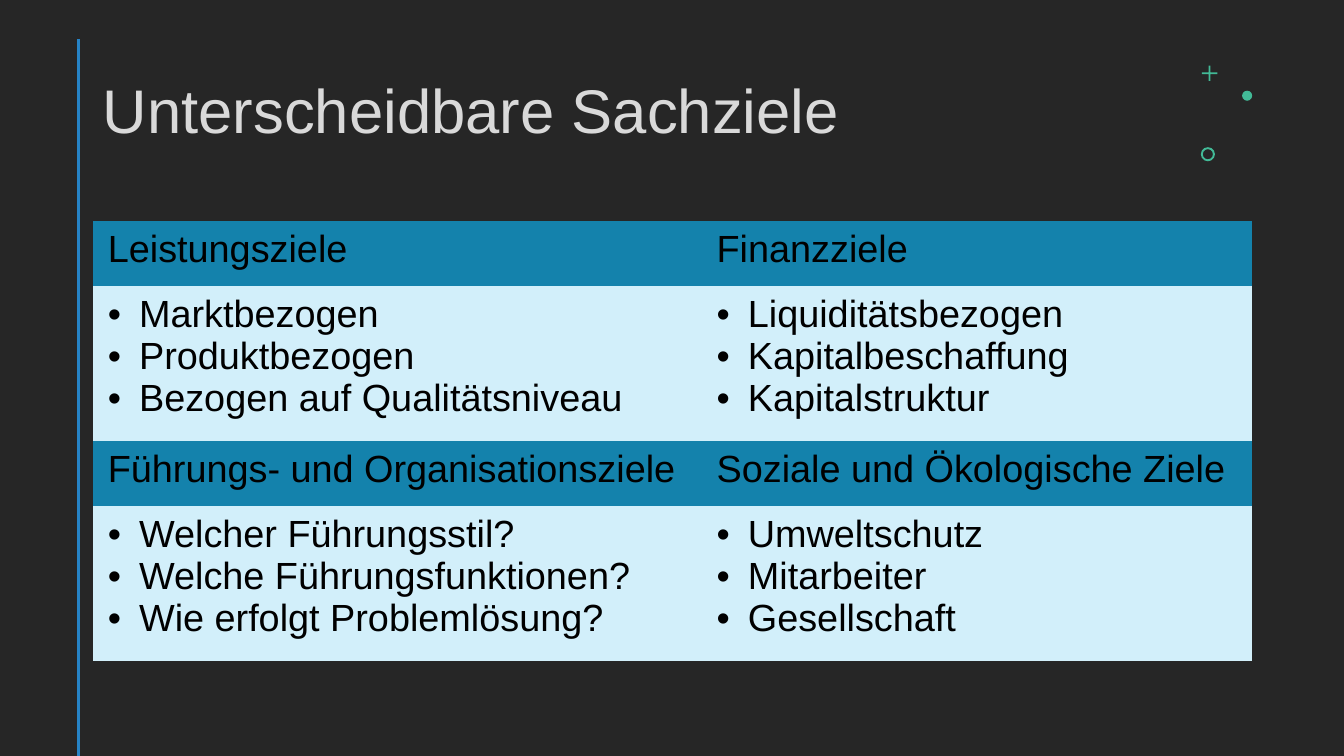
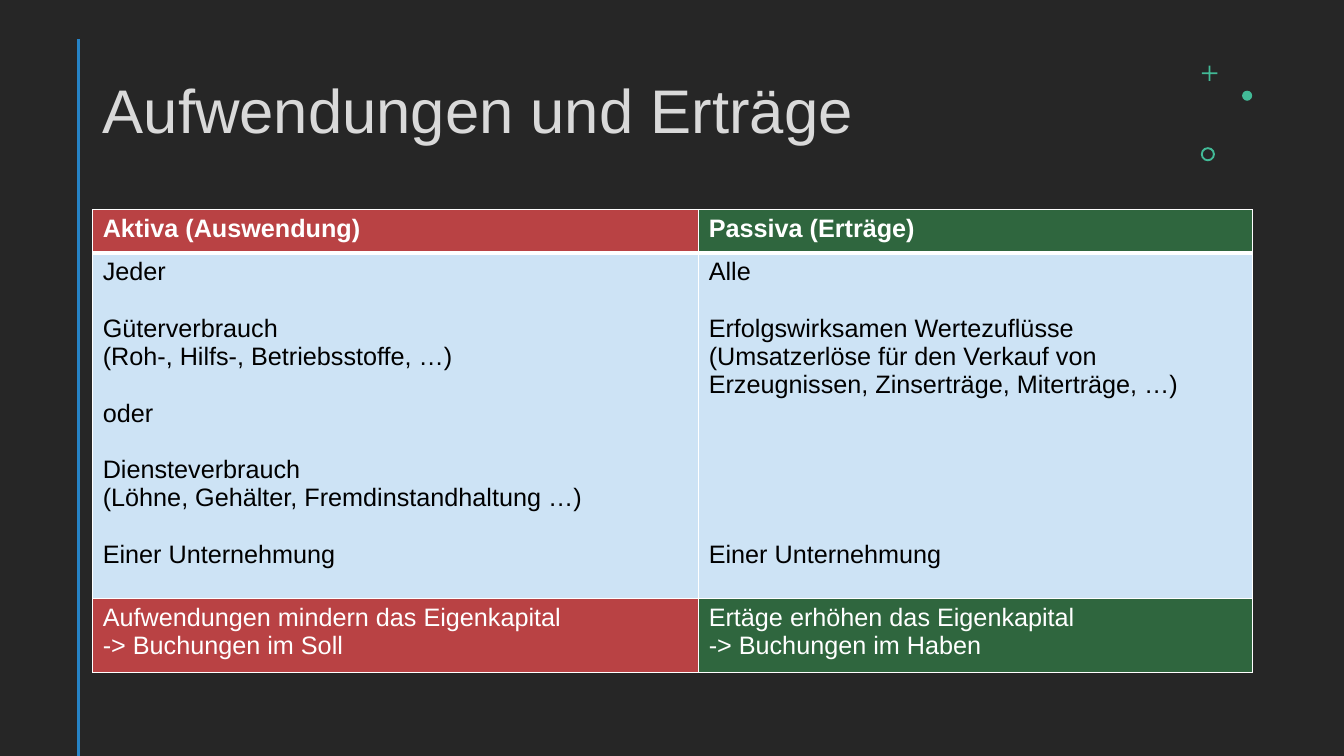
from dataclasses import dataclass

from lxml.etree import SubElement
from pptx import Presentation
from pptx.dml.color import RGBColor
from pptx.enum.shapes import MSO_CONNECTOR, MSO_SHAPE
from pptx.enum.text import MSO_ANCHOR, MSO_AUTO_SIZE, PP_ALIGN
from pptx.oxml import parse_xml
from pptx.oxml.ns import nsdecls, qn
from pptx.util import Inches, Pt


@dataclass(frozen=True)
class Theme:
    font: str = "Arial"
    background: RGBColor = RGBColor(0x26, 0x26, 0x26)
    heading: RGBColor = RGBColor(0xD9, 0xD9, 0xD9)
    rule: RGBColor = RGBColor(0x26, 0x83, 0xC6)
    ornament: RGBColor = RGBColor(0x42, 0xBA, 0x97)
    black: RGBColor = RGBColor(0x00, 0x00, 0x00)
    white: RGBColor = RGBColor(0xFF, 0xFF, 0xFF)
    goal_head: RGBColor = RGBColor(0x14, 0x82, 0xAC)
    goal_body: RGBColor = RGBColor(0xD2, 0xEF, 0xFA)
    expense: RGBColor = RGBColor(0xB9, 0x42, 0x44)
    income: RGBColor = RGBColor(0x2F, 0x66, 0x3E)
    account_body: RGBColor = RGBColor(0xCD, 0xE3, 0xF5)
    heading_size: int = 44
    goal_size: int = 27
    account_size: int = 18


THEME = Theme()
NO_TABLE_STYLE = "{2D5ABB26-0587-4C30-8999-92F81FD0307C}"

prs = Presentation()
prs.slide_width, prs.slide_height = Inches(13.33), Inches(7.5)
COL, ROW = prs.slide_width / 100, prs.slide_height / 100  # one percent of the slide
LEFT = 6.9

prs.slide_master.background.fill.solid()
prs.slide_master.background.fill.fore_color.rgb = THEME.background
title_only = prs.slide_layouts[5]
layout_title = title_only.placeholders[0]
layout_title.left, layout_title.top = int(LEFT * COL), int(5.33 * ROW)
layout_title.width, layout_title.height = int(80.72 * COL), int(19.33 * ROW)

# preset, column, row, size in columns, adjustment
ORNAMENTS = [
    (MSO_SHAPE.CROSS, 89.42, 8.67, 1.15, 0.44),
    (MSO_SHAPE.OVAL, 92.42, 12, 0.75, None),
    (MSO_SHAPE.DONUT, 89.35, 19.47, 1.05, 0.14),
]


def add_content_slide(heading):
    """Add a slide with its heading, the vertical rule and the corner ornaments."""
    slide = prs.slides.add_slide(title_only)
    frame = slide.shapes.title.text_frame
    frame.text = heading
    frame.vertical_anchor = MSO_ANCHOR.MIDDLE
    frame.auto_size = MSO_AUTO_SIZE.NONE
    line = frame.paragraphs[0]
    line.alignment, line.line_spacing = PP_ALIGN.LEFT, 0.9
    font = line.runs[0].font
    font.name, font.size = THEME.font, Pt(THEME.heading_size)
    font.color.rgb = THEME.heading

    rule_x = int(5.85 * COL)
    rule = slide.shapes.add_connector(
        MSO_CONNECTOR.STRAIGHT, rule_x, int(5.2 * ROW), rule_x, prs.slide_height)
    rule.line.color.rgb, rule.line.width = THEME.rule, Pt(2)
    SubElement(rule._element.spPr, qn("a:effectLst"))

    for preset, x, y, size, adjustment in ORNAMENTS:
        ornament = slide.shapes.add_shape(
            preset, int(x * COL), int(y * ROW), int(size * COL), int(size * COL))
        ornament.shadow.inherit = False
        ornament.fill.solid()
        ornament.fill.fore_color.rgb = THEME.ornament
        ornament.line.fill.background()
        if adjustment is not None:
            ornament.adjustments[0] = adjustment
    return slide


def add_grid(slide, top, widths, heights, texts, colors, size, margins):
    """Add a plain table; colors holds a (fill, text) pair for each cell."""
    table = slide.shapes.add_table(
        len(heights), len(widths), int(LEFT * COL), int(top * ROW),
        int(sum(widths) * COL), int(sum(heights) * ROW)).table
    table.first_row = table.horz_banding = False
    table._tbl.tblPr.find(qn("a:tableStyleId")).text = NO_TABLE_STYLE
    for column, width in zip(table.columns, widths):
        column.width = int(width * COL)
    for row, height, row_texts, row_colors in zip(table.rows, heights, texts, colors):
        row.height = int(height * ROW)
        for cell, text, (fill, text_color) in zip(row.cells, row_texts, row_colors):
            cell.text_frame.text = text
            cell.margin_left = cell.margin_right = Inches(margins[0])
            cell.margin_top = cell.margin_bottom = Inches(margins[1])
            cell.fill.solid()
            cell.fill.fore_color.rgb = fill
            for paragraph in cell.text_frame.paragraphs:
                font = paragraph.runs[0].font
                font.name, font.size = THEME.font, Pt(size)
                font.color.rgb = text_color
    return table


# Unterscheidbare Sachziele
goals = [
    ("Leistungsziele", "Finanzziele"),
    ("Marktbezogen\nProduktbezogen\nBezogen auf Qualitätsniveau",
     "Liquiditätsbezogen\nKapitalbeschaffung\nKapitalstruktur"),
    ("Führungs- und Organisationsziele", "Soziale und Ökologische Ziele"),
    ("Welcher Führungsstil?\nWelche Führungsfunktionen?\nWie erfolgt Problemlösung?",
     "Umweltschutz\nMitarbeiter\nGesellschaft"),
]
head_row = [(THEME.goal_head, THEME.black)] * 2
body_row = [(THEME.goal_body, THEME.black)] * 2
goal_table = add_grid(
    add_content_slide("Unterscheidbare Sachziele"), 29.2, (45.3, 40.97),
    (8.6, 20.5) * 2, goals, (head_row, body_row) * 2, THEME.goal_size, (0.15, 0.07))

for row_index in (1, 3):
    for cell in goal_table.rows[row_index].cells:
        for paragraph in cell.text_frame.paragraphs:
            properties = paragraph._p.get_or_add_pPr()
            properties.set("marL", str(Inches(0.31)))
            properties.set("indent", str(-Inches(0.31)))
            SubElement(properties, qn("a:buFont")).set("typeface", THEME.font)
            SubElement(properties, qn("a:buChar")).set("char", "•")

# Aufwendungen und Erträge
accounts = [
    ("Aktiva (Auswendung)", "Passiva (Erträge)"),
    ("Jeder\nGüterverbrauch\n(Roh-, Hilfs-, Betriebsstoffe, …)\noder\nDiensteverbrauch\n"
     "(Löhne, Gehälter, Fremdinstandhaltung …)\nEiner Unternehmung",
     "Alle\nErfolgswirksamen Wertezuflüsse\n(Umsatzerlöse für den Verkauf von "
     "Erzeugnissen, Zinserträge, Miterträge, …)\nEiner Unternehmung"),
    ("Aufwendungen mindern das Eigenkapital\n-> Buchungen im Soll",
     "Ertäge erhöhen das Eigenkapital\n-> Buchungen im Haben"),
]
side_row = [(THEME.expense, THEME.white), (THEME.income, THEME.white)]
account_row = [(THEME.account_body, THEME.black)] * 2
account_table = add_grid(
    add_content_slide("Aufwendungen und Erträge"), 27.75, (45.09, 41.18),
    (5.73, 45.73, 9.73), accounts, (side_row, account_row, side_row),
    THEME.account_size, (0.1, 0.05))

for cell in account_table.rows[0].cells:
    cell.text_frame.paragraphs[0].runs[0].font.bold = True

# Lines of space above a paragraph, by column and paragraph index
LINE_PITCH = 20.2
for cell, gaps in zip(account_table.rows[1].cells,
                      ({1: 1, 3: 1, 4: 1, 6: 1}, {1: 1, 3: 5})):
    for index, lines in gaps.items():
        cell.text_frame.paragraphs[index].space_before = Pt(lines * LINE_PITCH)

for row_index, row in enumerate(account_table.rows):
    top_width = 3 if row_index == 1 else 1
    bottom_width = 3 if row_index == 0 else 1
    for cell in row.cells:
        edges = (("lnL", 1), ("lnR", 1), ("lnT", top_width), ("lnB", bottom_width))
        for position, (edge, width) in enumerate(edges):
            cell._tc.get_or_add_tcPr().insert(position, parse_xml(
                f'<a:{edge} {nsdecls("a")} w="{Pt(width)}"><a:solidFill>'
                f'<a:srgbClr val="{THEME.white}"/></a:solidFill></a:{edge}>'))

prs.save("out.pptx")
